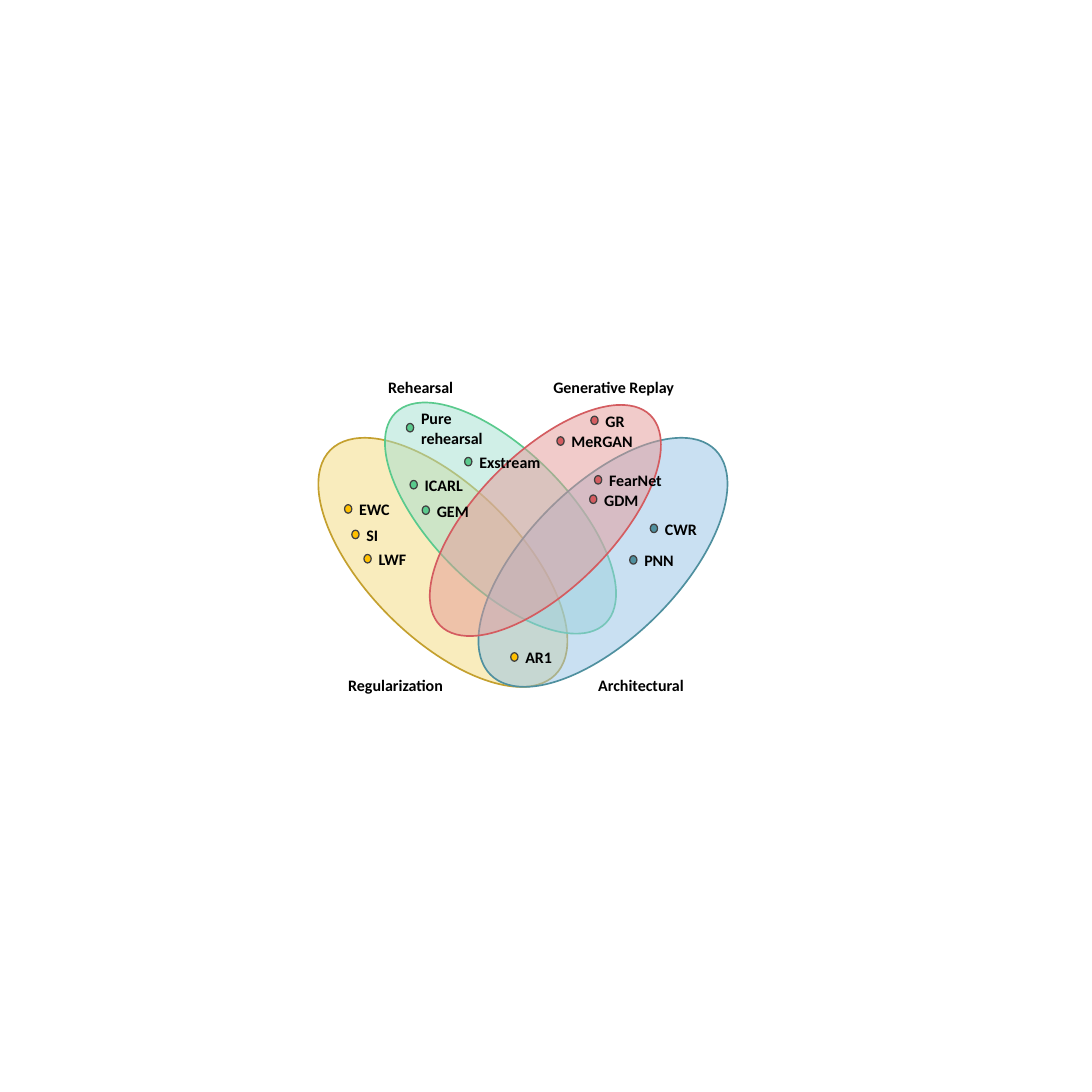
from dataclasses import dataclass

import pptx
import pptx.dml.color
import pptx.enum.shapes
import pptx.enum.text
import pptx.oxml
import pptx.oxml.ns
import pptx.shapes.autoshape
import pptx.util
from pptx.util import Inches

FONT, FONT_SIZE = "Calibri", 9.5
TEXT_COLOUR, DOT_LINE = "000000", "404040"
DOT_WIDTH, DOT_HEIGHT = 0.06, 0.07
LABEL_SHIFT, LABEL_RISE, LABEL_HEIGHT = 0.12, 0.04, 0.14
TWO_LINES = 0.28


@dataclass
class Method:
    """A learning method: its dot position and its label."""
    name: str
    left: float
    top: float
    label_width: float = 0.68
    label_rise: float = LABEL_RISE
    label_height: float = LABEL_HEIGHT


@dataclass
class Box:
    """A rectangle in inches."""
    left: float
    top: float
    width: float
    height: float


@dataclass
class Family:
    """A family of methods, shown as one tilted ellipse of the diagram."""
    name: str
    caption: Box
    ellipse: Box
    rotation: int
    fill: str
    line: str
    dot: str
    methods: list[Method]


FAMILIES = [
    Family("Regularization", Box(2.87, 5.57, 0.92, TWO_LINES),
           Box(2.34, 4.01, 2.62, 1.25), 45, "F5DB7D", "C4A02E", "FFC000",
           [Method("EWC", 2.84, 4.16, 0.33), Method("SI", 2.9, 4.37, 0.33),
            Method("LWF", 3.0, 4.57, 0.33), Method("AR1", 4.21, 5.38, 0.33)]),
    Family("Rehearsal", Box(3.2, 3.11, 0.66, TWO_LINES),
           Box(2.9, 3.71, 2.45, 1.12), 45, "A2E0D1", "5ACA8D", "5ACA8D",
           [Method("Pure rehearsal", 3.35, 3.49, label_rise=0.12,
                   label_height=TWO_LINES),
            Method("Exstream", 3.83, 3.77), Method("ICARL", 3.38, 3.96),
            Method("GEM", 3.48, 4.17)]),
    Family("Architectural", Box(4.93, 5.57, 0.92, TWO_LINES),
           Box(3.66, 4.01, 2.62, 1.25), 315, "95C3E7", "4F909F", "4F909F",
           [Method("CWR", 5.36, 4.32), Method("PNN", 5.19, 4.58)]),
    Family("Generative Replay", Box(4.56, 3.11, 1.15, TWO_LINES),
           Box(3.27, 3.73, 2.45, 1.12), 315, "E59997", "D45C60", "D45C60",
           [Method("GR", 4.87, 3.43), Method("MeRGAN", 4.59, 3.6),
            Method("FearNet", 4.9, 3.92), Method("GDM", 4.86, 4.08)]),
]


def rgb(colour: str) -> pptx.dml.color.RGBColor:
    """Turn a hex string into a colour."""
    return pptx.dml.color.RGBColor.from_string(colour)


def add_ellipse(slide: pptx.slide.Slide, box: Box, fill: str, line: str,
                line_width: float) -> pptx.shapes.autoshape.Shape:
    """Add a filled and outlined ellipse."""
    ellipse = slide.shapes.add_shape(
        pptx.enum.shapes.MSO_SHAPE.OVAL, Inches(box.left), Inches(box.top),
        Inches(box.width), Inches(box.height))
    ellipse.shadow.inherit = False
    ellipse.fill.solid()
    ellipse.fill.fore_color.rgb = rgb(fill)
    ellipse.line.color.rgb = rgb(line)
    ellipse.line.width = pptx.util.Pt(line_width)
    return ellipse


def make_translucent(shape: pptx.shapes.autoshape.Shape, percent: int) -> None:
    """Set the opacity of a shape's solid fill."""
    fill_colour = shape.element.spPr.find(
        "/".join(map(pptx.oxml.ns.qn, ("a:solidFill", "a:srgbClr"))))
    alpha = pptx.oxml.parse_xml(
        f'<a:alpha {pptx.oxml.ns.nsdecls("a")} val="{percent * 1000}"/>')
    fill_colour.append(alpha)


def add_label(slide: pptx.slide.Slide, text: str, box: Box) -> None:
    """Add a bold label without margins."""
    label = slide.shapes.add_textbox(Inches(box.left), Inches(box.top),
                                     Inches(box.width), Inches(box.height))
    frame = label.text_frame
    frame.word_wrap = True
    frame.margin_left = frame.margin_right = Inches(0)
    frame.margin_top = frame.margin_bottom = Inches(0)
    paragraph = frame.paragraphs[0]
    paragraph.text = text
    paragraph.alignment = pptx.enum.text.PP_ALIGN.JUSTIFY
    paragraph.space_after = pptx.util.Pt(5)
    paragraph.font.name = FONT
    paragraph.font.size = pptx.util.Pt(FONT_SIZE)
    paragraph.font.bold = True
    paragraph.font.color.rgb = rgb(TEXT_COLOUR)


def add_family_ellipse(slide: pptx.slide.Slide, family: Family) -> None:
    """Draw the tilted, half-transparent ellipse of a family."""
    ellipse = add_ellipse(slide, family.ellipse, family.fill, family.line, 1)
    ellipse.rotation = family.rotation
    make_translucent(ellipse, 50)


def add_method(slide: pptx.slide.Slide, method: Method, colour: str) -> None:
    """Draw a method's dot with its label to the right."""
    dot = Box(method.left, method.top, DOT_WIDTH, DOT_HEIGHT)
    add_ellipse(slide, dot, colour, DOT_LINE, 0.75)
    add_label(slide, method.name,
              Box(method.left + LABEL_SHIFT, method.top - method.label_rise,
                  method.label_width, method.label_height))


presentation = pptx.Presentation()
presentation.slide_width = presentation.slide_height = Inches(9)
diagram = presentation.slides.add_slide(presentation.slide_layouts[6])

for family in FAMILIES:
    add_family_ellipse(diagram, family)
for family in FAMILIES:
    add_label(diagram, family.name, family.caption)
    for method in family.methods:
        add_method(diagram, method, family.dot)

presentation.save("out.pptx")
